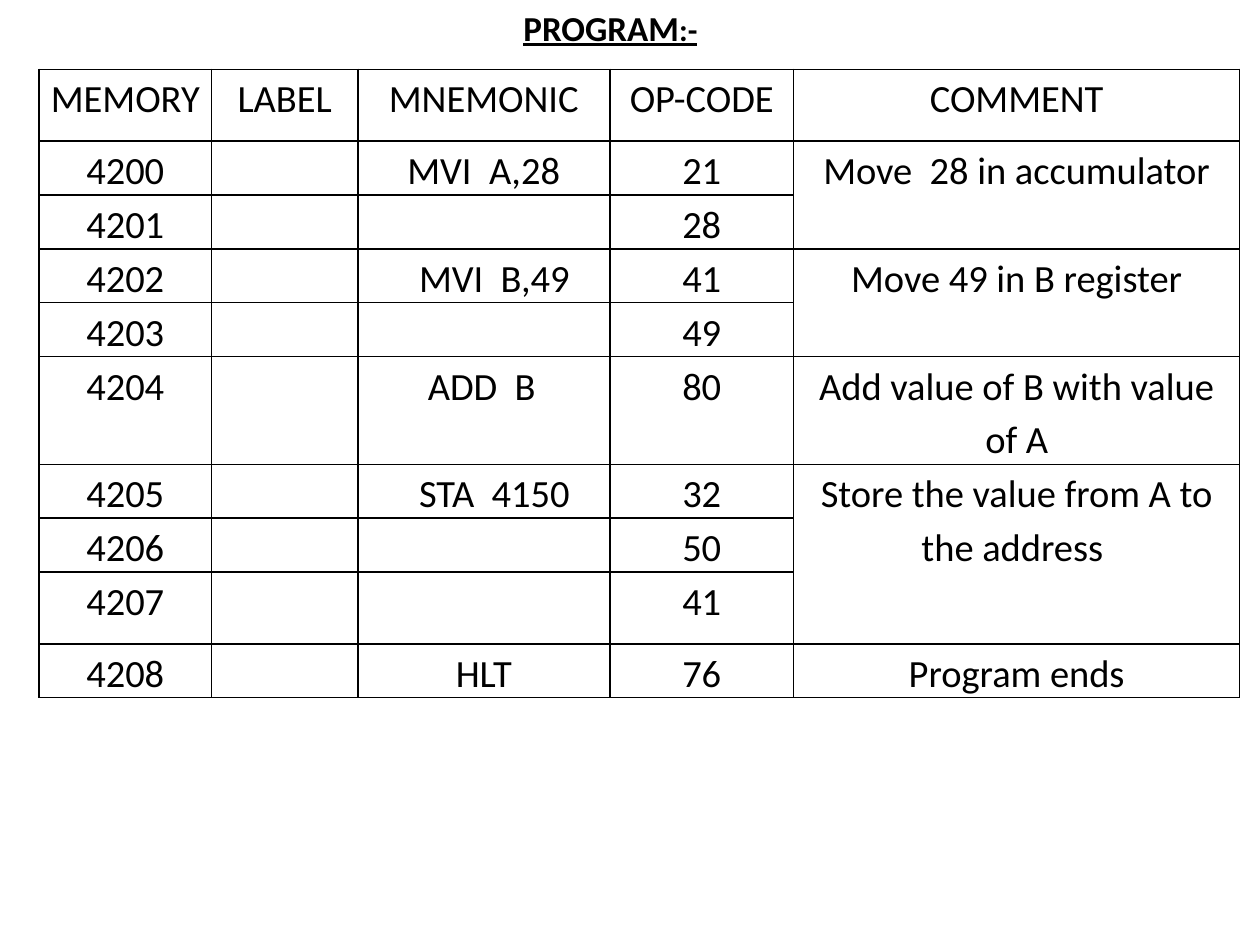
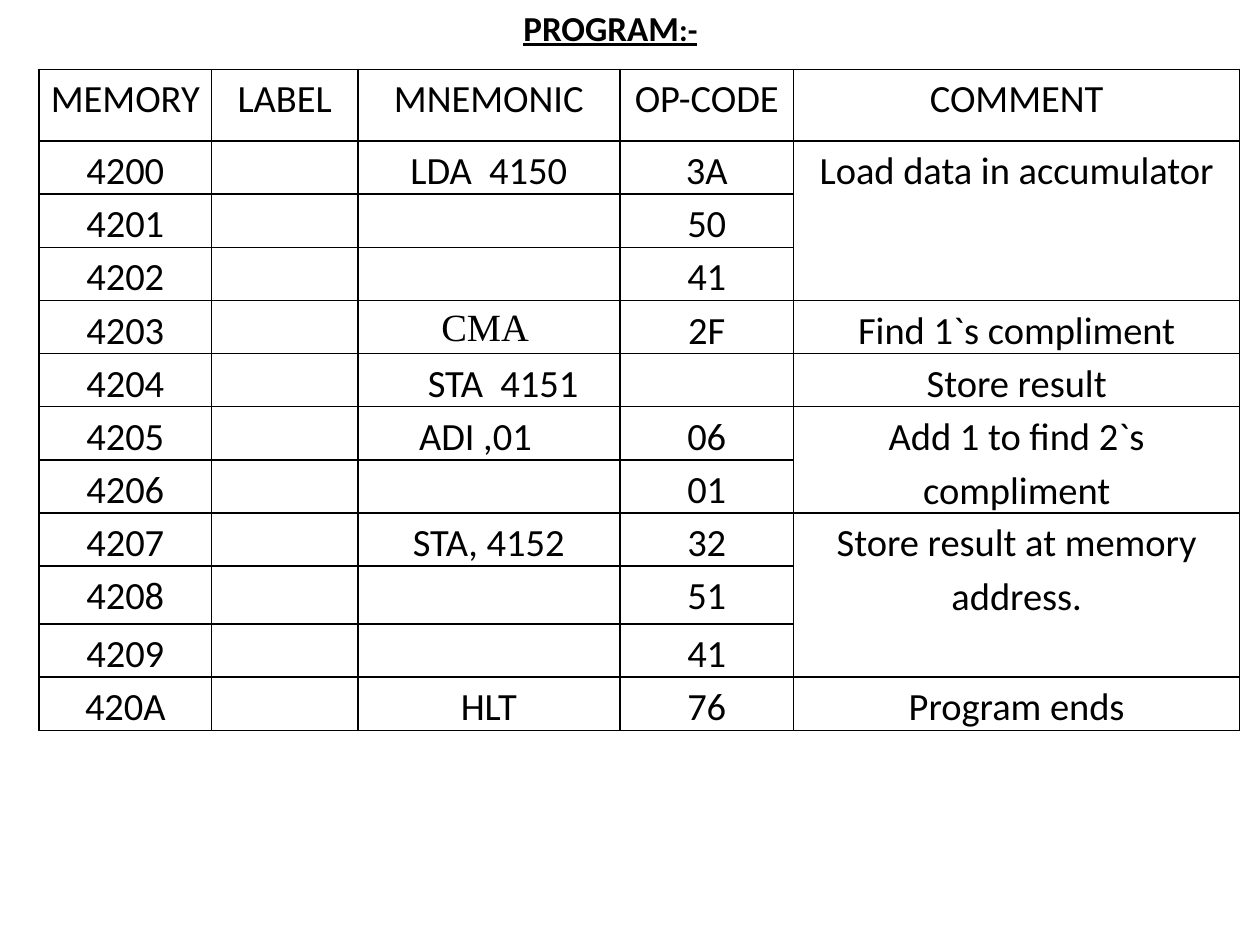
from lxml import etree
from pptx import Presentation
from pptx.dml.color import RGBColor
from pptx.enum import text
from pptx.oxml import ns
from pptx.util import Pt

COLORS = {"ink": "000000", "line": "000000"}
FONT = "Calibri"
HEADINGS = ["MEMORY", "LABEL", "MNEMONIC", "OP-CODE", "COMMENT"]
MNEMONIC, COMMENT = 2, 4
HEADER_H, ROW_H = 41.04, 26.64
CELL_PAD = 5.04

# Rows hold memory, label, mnemonic, op-code, comment;
# a comment of None continues the comment above.
programs = [
    dict(
        widths=[98.64, 83.52, 144, 105.12, 254.88],
        height=355.68,
        tall_rows={8: 41.04},
        indents={3: 30, 5: 35, 6: 30},
        serif_rows=[],
        rows=[
            ("4200", "", "MVI  A,28", "21", "Move  28 in accumulator"),
            ("4201", "", "", "28", None),
            ("4202", "", "MVI  B,49", "41", "Move 49 in B register"),
            ("4203", "", "", "49", None),
            ("4204", "", "ADD  B", "80", "Add value of B with value of A"),
            ("4205", "", "STA  4150", "32", "Store the value from A to the address "),
            ("4206", "", "", "50", None),
            ("4207", "", "", "41", None),
            ("4208", "", "HLT", "76", "Program ends"),
        ],
    ),
    dict(
        widths=[98.64, 83.52, 149.76, 99.36, 254.88],
        height=378,
        tall_rows={9: 33.12},
        indents={5: 35, 6: 30},
        serif_rows=[4],
        rows=[
            ("4200", "", "LDA  4150", "3A", "Load data in accumulator"),
            ("4201", "", "", "50", None),
            ("4202", "", "", "41", None),
            ("4203", "", "CMA ", "2F", "Find 1`s compliment"),
            ("4204", "", "STA  4151", "", "Store result"),
            ("4205", "", "ADI ,01", "06", "Add 1 to find 2`s compliment"),
            ("4206", "", "", "01", None),
            ("4207", "", "STA, 4152", "32", "Store result at memory address."),
            ("4208", "", "", "51", None),
            ("4209", "", "", "41", None),
            ("420A", "", "HLT", "76", "Program ends"),
        ],
    ),
]


def add_run(p, words, size=22, font=FONT, bold=None, underline=None,
            align=text.PP_ALIGN.CENTER, spacing=None):
    p.alignment = align
    if spacing:
        p.line_spacing = spacing
    r = p.add_run()
    r.text = words
    r.font.size = Pt(size)
    r.font.name = font
    r.font.bold = bold
    r.font.underline = underline
    r.font.color.rgb = RGBColor.from_string(COLORS["ink"])


def clear_fill_and_border(cell):
    """Remove the style's fill and draw a 1 pt line on all four sides."""
    cell.fill.background()
    tc_pr = cell._tc.get_or_add_tcPr()
    for i, side in enumerate(("lnL", "lnR", "lnT", "lnB")):
        ln = etree.Element(ns.qn(f"a:{side}"), w=str(Pt(1)))
        fill = etree.SubElement(ln, ns.qn("a:solidFill"))
        etree.SubElement(fill, ns.qn("a:srgbClr"), val=COLORS["line"])
        tc_pr.insert(i, ln)


prs = Presentation()
prs.slide_width, prs.slide_height = Pt(720), Pt(540)

for program in programs:
    s = prs.slides.add_slide(prs.slide_layouts[6])
    rows = [HEADINGS] + program["rows"]

    frame = s.shapes.add_table(len(rows), len(HEADINGS), Pt(22.32), Pt(39.6),
                               Pt(sum(program["widths"])), Pt(program["height"]))
    table = frame.table
    table.first_row = table.horz_banding = False
    for column, width in zip(table.columns, program["widths"]):
        column.width = Pt(width)

    for i, row in enumerate(rows):
        table.rows[i].height = Pt(program["tall_rows"].get(i, ROW_H if i else HEADER_H))
        for j, words in enumerate(row):
            cell = table.cell(i, j)
            clear_fill_and_border(cell)
            if not words:
                continue
            indent = program["indents"].get(i, 0) if j == MNEMONIC else 0
            serif = j == MNEMONIC and i in program["serif_rows"]
            cell.margin_left, cell.margin_right = Pt(CELL_PAD + indent), Pt(CELL_PAD)
            cell.margin_top = cell.margin_bottom = 0
            add_run(cell.text_frame.paragraphs[0], words, spacing=1.15,
                    font="Times New Roman" if serif else FONT,
                    align=text.PP_ALIGN.LEFT if indent else text.PP_ALIGN.CENTER)
    frame.height = Pt(program["height"])

    first = 1
    for i in range(2, len(rows) + 1):
        if i == len(rows) or rows[i][COMMENT] is not None:
            if i - first > 1:
                table.cell(first, COMMENT).merge(table.cell(i - 1, COMMENT))
            first = i

    title = s.shapes.add_textbox(Pt(270), 0, Pt(157.68), Pt(31.68))
    tf = title.text_frame
    tf.word_wrap = True
    tf.auto_size = text.MSO_AUTO_SIZE.SHAPE_TO_FIT_TEXT
    for words, size in (("PROGRAM", 20), (":-", 18)):
        add_run(tf.paragraphs[0], words, size=size, bold=True, underline=True)

prs.save("out.pptx")
